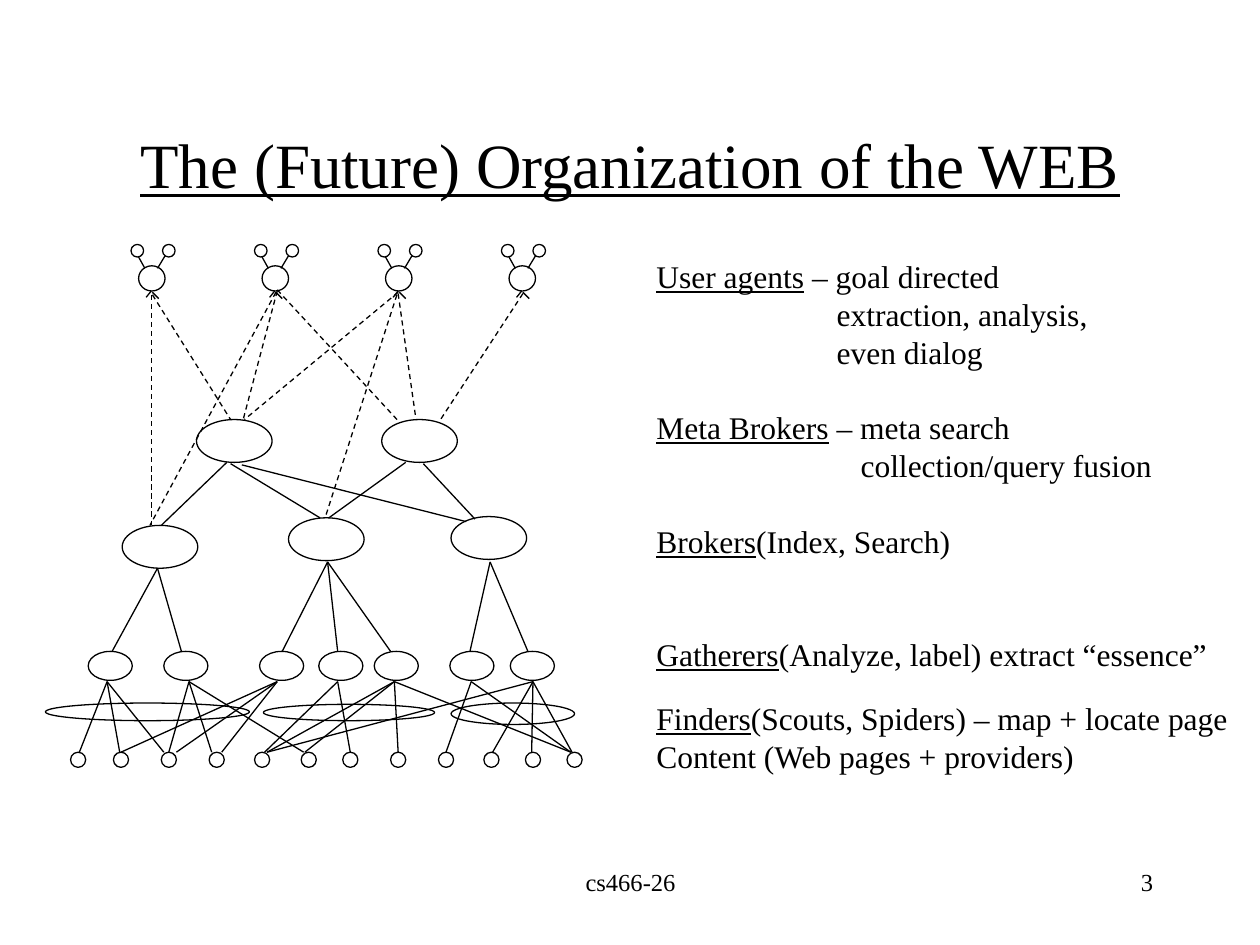
from dataclasses import dataclass

from lxml.etree import SubElement
from pptx import Presentation
from pptx.dml.color import RGBColor
from pptx.enum.dml import MSO_LINE
from pptx.enum.shapes import MSO_CONNECTOR, MSO_SHAPE
from pptx.enum.text import MSO_ANCHOR, MSO_AUTO_SIZE, PP_ALIGN
from pptx.oxml.ns import qn
from pptx.util import Inches, Pt


@dataclass(frozen=True)
class Theme:
    """Colours, type sizes and line width of the slide."""

    ink: RGBColor = RGBColor(0, 0, 0)
    font: str = "Times New Roman"
    title_size: int = 36
    body_size: int = 18
    footer_size: int = 14
    leading: float = 1.2
    line_width: float = 0.75


AGENT_LEFTS = [1.04 + 0.98 * step for step in range(4)]
META_BROKERS = [(1.56, 3.33), (3.03, 3.33)]
BROKERS = [(0.97, 4.17), (2.29, 4.11), (3.58, 4.1)]
GATHERER_LEFTS = [0.7, 1.3, 2.06, 2.53, 2.97, 3.57, 4.05]
PAGE_LEFTS = [0.56, 0.9, 1.28, 1.66, 2.02, 2.39, 2.72, 3.1, 3.48, 3.84, 4.17, 4.5]
FINDERS = [(0.36, 5.58, 1.62, 0.14), (2.09, 5.59, 1.36, 0.13), (3.58, 5.58, 0.98, 0.17)]

GATHERER_TO_PAGES = [
    (0.85, [0.63, 0.95, 1.3]),
    (1.5, [1.34, 1.68, 2.41]),
    (2.2, [0.96, 1.4, 1.76]),
    (2.68, [2.1, 2.78]),
    (3.13, [2.12, 2.42, 3.16, 4.53]),
    (3.74, [3.54, 4.53]),
    (4.23, [2.12, 3.91, 4.22, 4.54]),
]
BROKER_TO_GATHERERS = [
    (1.25, 4.51, [0.89, 1.44]),
    (2.6, 4.46, [2.24, 2.68, 3.1]),
    (3.89, 4.46, [3.73, 4.19]),
]
META_TO_BROKERS = [
    (1.8, 3.67, 1.28, 4.17),
    (1.83, 3.68, 2.54, 4.11),
    (1.92, 3.69, 3.7, 4.14),
    (3.22, 3.67, 2.61, 4.11),
    (3.36, 3.68, 3.77, 4.12),
]
AGENT_LINKS = [
    (1.2, 2.34, 1.2, 4.17),
    (1.21, 2.34, 1.83, 3.33),
    (2.19, 2.32, 1.19, 4.17),
    (2.2, 2.31, 1.93, 3.33),
    (2.2, 2.3, 3.17, 3.35),
    (3.16, 2.32, 1.94, 3.33),
    (3.16, 2.33, 3.3, 3.32),
    (4.15, 2.33, 3.49, 3.34),
    (3.15, 2.34, 2.58, 4.11),
]
LAYERS = [
    ("User agents", " – goal directed", 0, 0),
    ("", "extraction, analysis,", 1.43, 0),
    ("", "even dialog", 1.43, 0),
    ("Meta Brokers", " – meta search", 0, 21.6),
    ("", "collection/query fusion", 1.62, 0),
    ("Brokers", "(Index, Search)", 0, 21.6),
    ("Gatherers", "(Analyze, label) extract “essence”", 0, 43.2),
    ("Finders", "(Scouts, Spiders) – map + locate page", 0, 15.1),
    ("", "Content (Web pages + providers)", 0, 0),
]


class SlideBuilder:
    """Draws styled elements on one slide."""

    def __init__(self, slide, theme):
        """Keep the slide and its theme."""
        self.slide = slide
        self.theme = theme

    def run(self, paragraph, text, size, underline=False):
        """Add one styled run."""
        run = paragraph.add_run()
        run.text = text
        run.font.name = self.theme.font
        run.font.size = Pt(size)
        run.font.color.rgb = self.theme.ink
        run.font.underline = underline
        paragraph.line_spacing = Pt(size * self.theme.leading)

    def place(self, shape, left, top, width, height):
        """Move a text shape and fix its size and wrapping."""
        shape.left, shape.top = Inches(left), Inches(top)
        shape.width, shape.height = Inches(width), Inches(height)
        shape.text_frame.word_wrap = True
        shape.text_frame.auto_size = MSO_AUTO_SIZE.NONE
        return shape.text_frame

    def title(self, text):
        """Fill the title placeholder."""
        frame = self.place(self.slide.shapes.title, 0.75, 0.67, 8.5, 1.25)
        frame.vertical_anchor = MSO_ANCHOR.MIDDLE
        paragraph = frame.paragraphs[0]
        paragraph.alignment = PP_ALIGN.CENTER
        self.run(paragraph, text, self.theme.title_size, True)

    def body(self, layers):
        """Fill the body placeholder with the layer descriptions."""
        frame = self.place(self.slide.placeholders[1], 5.11, 1.99, 4.85, 4.21)
        for index, (term, detail, indent, gap) in enumerate(layers):
            paragraph = frame.add_paragraph() if index else frame.paragraphs[0]
            paragraph.space_before = Pt(gap)
            properties = paragraph._p.get_or_add_pPr()
            properties.set("marL", str(Inches(indent)))
            properties.set("indent", "0")
            SubElement(properties, qn("a:buNone"))
            if term:
                self.run(paragraph, term, self.theme.body_size, True)
            self.run(paragraph, detail, self.theme.body_size)

    def footer(self, text, left, width, alignment):
        """Add one footer text box."""
        box = self.slide.shapes.add_textbox(0, 0, 0, 0)
        paragraph = self.place(box, left, 6.83, width, 0.5).paragraphs[0]
        paragraph.alignment = alignment
        self.run(paragraph, text, self.theme.footer_size)

    def outline(self, line):
        """Apply the common line style."""
        line.color.rgb = self.theme.ink
        line.width = Pt(self.theme.line_width)

    def ellipse(self, left, top, width, height, shapes=None):
        """Add an unfilled ellipse to the slide or a group."""
        bounds = [Inches(length) for length in (left, top, width, height)]
        shape = (shapes or self.slide.shapes).add_shape(MSO_SHAPE.OVAL, *bounds)
        shape.shadow.inherit = False
        shape.fill.background()
        self.outline(shape.line)

    def line(self, x1, y1, x2, y2, dashed=False, shapes=None):
        """Add a straight connector to the slide or a group."""
        ends = [Inches(length) for length in (x1, y1, x2, y2)]
        connector = (shapes or self.slide.shapes).add_connector(MSO_CONNECTOR.STRAIGHT, *ends)
        self.outline(connector.line)
        if dashed:
            connector.line.dash_style = MSO_LINE.DASH
        SubElement(connector._element.spPr, qn("a:effectLst"))

    def agent(self, left):
        """Add a user agent with two antennae and an arrow tip below."""
        shapes = self.slide.shapes.add_group_shape().shapes
        self.ellipse(left + 0.06, 2.11, 0.21, 0.2, shapes)
        for offset in (0, 0.25):
            self.ellipse(left + offset, 1.94, 0.1, 0.1, shapes)
        for x1, y1, x2, y2 in [
            (0.27, 2.03, 0.21, 2.13),
            (0.06, 2.04, 0.11, 2.13),
            (0.16, 2.31, 0.12, 2.36),
            (0.17, 2.32, 0.22, 2.37),
        ]:
            self.line(left + x1, y1, left + x2, y2, shapes=shapes)


def main():
    """Build and save the slide."""
    presentation = Presentation()
    presentation.slide_width, presentation.slide_height = Inches(10), Inches(7.5)
    slide = presentation.slides.add_slide(presentation.slide_layouts[1])
    builder = SlideBuilder(slide, Theme())
    builder.title("The (Future) Organization of the WEB")
    for left in AGENT_LEFTS:
        builder.agent(left)
    for left, top in META_BROKERS + BROKERS:
        builder.ellipse(left, top, 0.6, 0.34)
    for left in GATHERER_LEFTS:
        builder.ellipse(left, 5.17, 0.35, 0.23)
    for left in PAGE_LEFTS:
        builder.ellipse(left, 5.97, 0.12, 0.12)
    builder.body(LAYERS)
    for gatherer, pages in GATHERER_TO_PAGES:
        for page in pages:
            builder.line(gatherer, 5.41, page, 5.97)
    for finder in FINDERS:
        builder.ellipse(*finder)
    for broker, bottom, gatherers in BROKER_TO_GATHERERS:
        for gatherer in gatherers:
            builder.line(broker, bottom, gatherer, 5.17)
    for link in META_TO_BROKERS:
        builder.line(*link)
    for link in AGENT_LINKS:
        builder.line(*link, dashed=True)
    builder.footer("cs466-26", 3.42, 3.17, PP_ALIGN.CENTER)
    builder.footer("3", 7.17, 2.08, PP_ALIGN.RIGHT)
    presentation.save("out.pptx")


if __name__ == "__main__":
    main()
